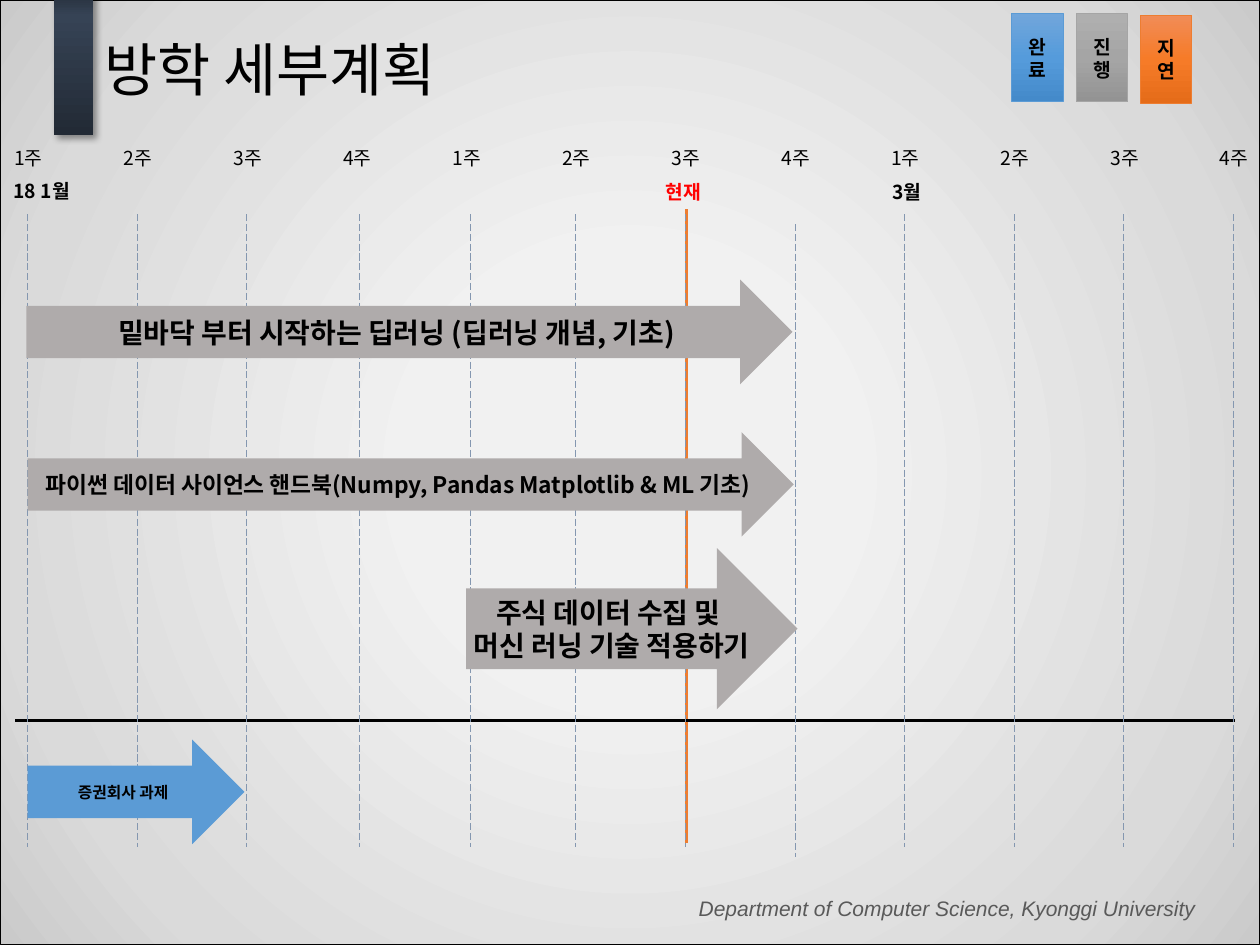
from dataclasses import dataclass
from typing import Optional

import lxml.etree
import pptx
import pptx.dml.color
import pptx.enum.dml
import pptx.enum.shapes
import pptx.enum.text
import pptx.oxml.ns
import pptx.util

Inches = pptx.util.Inches
Shapes = pptx.enum.shapes.MSO_SHAPE
Align = pptx.enum.text.PP_ALIGN
Anchor = pptx.enum.text.MSO_ANCHOR
qn = pptx.oxml.ns.qn


@dataclass(frozen=True)
class Theme:
    korean: str = "Noto Sans CJK KR"
    latin: str = "Arial"
    black: str = "000000"
    footer: str = "595959"
    grid: str = "8497B0"
    current: str = "ED7D31"
    current_label: str = "FF0000"
    ongoing: str = "AFABAB"
    done: str = "5B9BD5"
    backdrop: tuple = ((27, "F1F1F1"), (80, "DADADA"), (100, "CACACA"))
    accent: tuple = ((0, "222A35"), (80, "364355"), (100, "222A35"))
    title_size: float = 33
    label_size: float = 11
    footer_size: float = 12


@dataclass(frozen=True)
class Box:
    left: float
    top: float
    width: float
    height: float


@dataclass(frozen=True)
class Style:
    size: float
    bold: bool = False
    italic: bool = False
    color: str = "000000"
    font: str = "Noto Sans CJK KR"
    align: Align = Align.CENTER


@dataclass(frozen=True)
class Status:
    name: str
    box: Box
    stops: tuple
    outline: str


@dataclass(frozen=True)
class Task:
    name: str
    box: Box
    color: str
    size: float


THEME = Theme()
FIRST_WEEK, WEEK_STEP, WEEK_COUNT = 0.22, 0.87, 12
WEEK_SHIFT = {3: 0.02, 4: 0.03}
LOWERED_WEEK = 7

STATUSES = (
    Status("진\v행", Box(8.54, 0.11, 0.41, 0.7), ((0, "AFAFAF"), (50, "A5A5A5"), (100, "939393")), "A5A5A5"),
    Status("지\v연", Box(9.05, 0.12, 0.41, 0.7), ((0, "F18C57"), (50, "F67B28"), (100, "E56C19")), "ED7D31"),
    Status("완\v료", Box(8.03, 0.11, 0.41, 0.7), ((0, "71A6DB"), (50, "559BDB"), (100, "448ACA")), "5B9BD5"),
)
TASKS = (
    Task("밑바닥 부터 시작하는 딥러닝 (딥러닝 개념, 기초)", Box(0.21, 2.22, 6.08, 0.83), THEME.ongoing, 16),
    Task("파이썬 데이터 사이언스 핸드북(Numpy, Pandas Matplotlib & ML 기초)",
         Box(0.22, 3.43, 6.08, 0.83), THEME.ongoing, 13),
    Task("주식 데이터 수집 및 \n머신 러닝 기술 적용하기", Box(3.7, 4.35, 2.63, 1.28), THEME.ongoing, 16),
    Task("증권회사 과제", Box(0.22, 5.87, 1.72, 0.83), THEME.done, 9),
)


def rgb(color: str) -> pptx.dml.color.RGBColor:
    return pptx.dml.color.RGBColor.from_string(color)


def place(box: Box) -> tuple:
    return Inches(box.left), Inches(box.top), Inches(box.width), Inches(box.height)


def add_node(parent, tag: str, **attributes):
    return lxml.etree.SubElement(parent, qn(tag), {key: str(value) for key, value in attributes.items()})


def write(shape, text: str, style: Style, anchor: Anchor = Anchor.TOP, side: float = 0.1) -> None:
    frame = shape.text_frame
    frame.word_wrap = True
    frame.vertical_anchor = anchor
    frame.margin_left = frame.margin_right = Inches(side)
    frame.text = text
    for paragraph in frame.paragraphs:
        paragraph.alignment = style.align
        font = paragraph.font
        font.size = pptx.util.Pt(style.size)
        font.bold, font.italic = style.bold, style.italic
        font.name = style.font
        font.color.rgb = rgb(style.color)
        add_node(paragraph._p.pPr.find(qn("a:defRPr")), "a:ea", typeface=style.font)


def add_text(slide, box: Box, text: str, style: Style, anchor: Anchor = Anchor.TOP, side: float = 0.1):
    label = slide.shapes.add_textbox(*place(box))
    write(label, text, style, anchor, side)
    return label


def add_solid(slide, kind: Shapes, box: Box, color: str, outline: Optional[str] = None):
    shape = slide.shapes.add_shape(kind, *place(box))
    shape.shadow.inherit = False
    shape.fill.solid()
    shape.fill.fore_color.rgb = rgb(color)
    if outline:
        shape.line.color.rgb = rgb(outline)
        shape.line.width = pptx.util.Pt(0.5)
    else:
        shape.line.fill.background()
    return shape


def add_gradient(slide, box: Box, stops: tuple, angle: Optional[int] = None, outline: Optional[str] = None):
    shape = add_solid(slide, Shapes.RECTANGLE, box, stops[0][1], outline)
    shape.fill.gradient()
    gradient = shape._element.spPr.find(qn("a:gradFill"))
    for child in list(gradient):
        gradient.remove(child)
    stop_list = add_node(gradient, "a:gsLst")
    for position, color in stops:
        add_node(add_node(stop_list, "a:gs", pos=position * 1000), "a:srgbClr", val=color)
    if angle is None:
        circle = add_node(gradient, "a:path", path="circle")
        add_node(circle, "a:fillToRect", l=50000, t=50000, r=50000, b=50000)
    else:
        add_node(gradient, "a:lin", ang=angle * 60000, scaled=0)
    return shape


def add_shadow(shape) -> None:
    effects = shape._element.spPr.find(qn("a:effectLst"))
    shadow = add_node(effects, "a:outerShdw", blurRad=pptx.util.Pt(4), dist=pptx.util.Pt(3),
                      dir=45 * 60000, algn="tl", rotWithShape=0)
    add_node(add_node(shadow, "a:srgbClr", val=THEME.black), "a:alpha", val=40000)


def add_line(slide, start: tuple, end: tuple, color: str, width: float, dashed: bool = False) -> None:
    line = slide.shapes.add_connector(pptx.enum.shapes.MSO_CONNECTOR.STRAIGHT,
                                      *map(Inches, start), *map(Inches, end))
    line.line.color.rgb = rgb(color)
    line.line.width = pptx.util.Pt(width)
    if dashed:
        line.line.dash_style = pptx.enum.dml.MSO_LINE.LONG_DASH
    add_node(line._element.spPr, "a:effectLst")


def main() -> None:
    presentation = pptx.Presentation()
    presentation.slide_width, presentation.slide_height = Inches(10), Inches(7.5)
    slide = presentation.slides.add_slide(presentation.slide_layouts[6])

    add_gradient(slide, Box(0, 0, 10, 7.5), THEME.backdrop, outline=THEME.black)
    add_text(slide, Box(1.93, 7.06, 7.66, 0.3), "Department of Computer Science, Kyonggi University",
             Style(THEME.footer_size, italic=True, color=THEME.footer, font=THEME.latin, align=Align.RIGHT))
    add_shadow(add_gradient(slide, Box(0.43, -0.11, 0.31, 1.18), THEME.accent, 270))
    add_line(slide, (5.45, 1.66), (5.45, 6.69), THEME.current, 1.5)
    title = add_text(slide, Box(0.73, -0.15, 8.62, 1.45), "방학 세부계획",
                     Style(THEME.title_size, align=Align.LEFT), Anchor.MIDDLE)
    title.text_frame.paragraphs[0].line_spacing = 0.9
    add_line(slide, (0.12, 5.72), (9.8, 5.72), THEME.black, 1.5)

    plain = Style(THEME.label_size)
    strong = Style(THEME.label_size, bold=True)
    for status in STATUSES:
        badge = add_gradient(slide, status.box, status.stops, 90, status.outline)
        write(badge, status.name, strong, Anchor.MIDDLE, 0)

    for week in range(WEEK_COUNT):
        center = FIRST_WEEK + week * WEEK_STEP
        x = center + WEEK_SHIFT.get(week, 0)
        top = 1.78 if week == LOWERED_WEEK else 1.7
        add_line(slide, (x, top), (x, top + 5.02), THEME.grid, 0.5, dashed=True)
        add_text(slide, Box(center - 0.29, 1.11, 0.59, 0.29), f"{week % 4 + 1}주", plain)

    add_text(slide, Box(-0.16, 1.37, 0.98, 0.29), "18 1월", strong)
    add_text(slide, Box(6.69, 1.38, 0.98, 0.29), " 3월", strong)
    add_text(slide, Box(5.2, 1.39, 0.45, 0.27), "현재",
             Style(THEME.label_size, bold=True, color=THEME.current_label), Anchor.MIDDLE, 0)

    for task in TASKS:
        arrow = add_solid(slide, Shapes.RIGHT_ARROW, task.box, task.color)
        write(arrow, task.name, Style(task.size, bold=True), Anchor.MIDDLE, 0)

    presentation.save("out.pptx")


if __name__ == "__main__":
    main()
